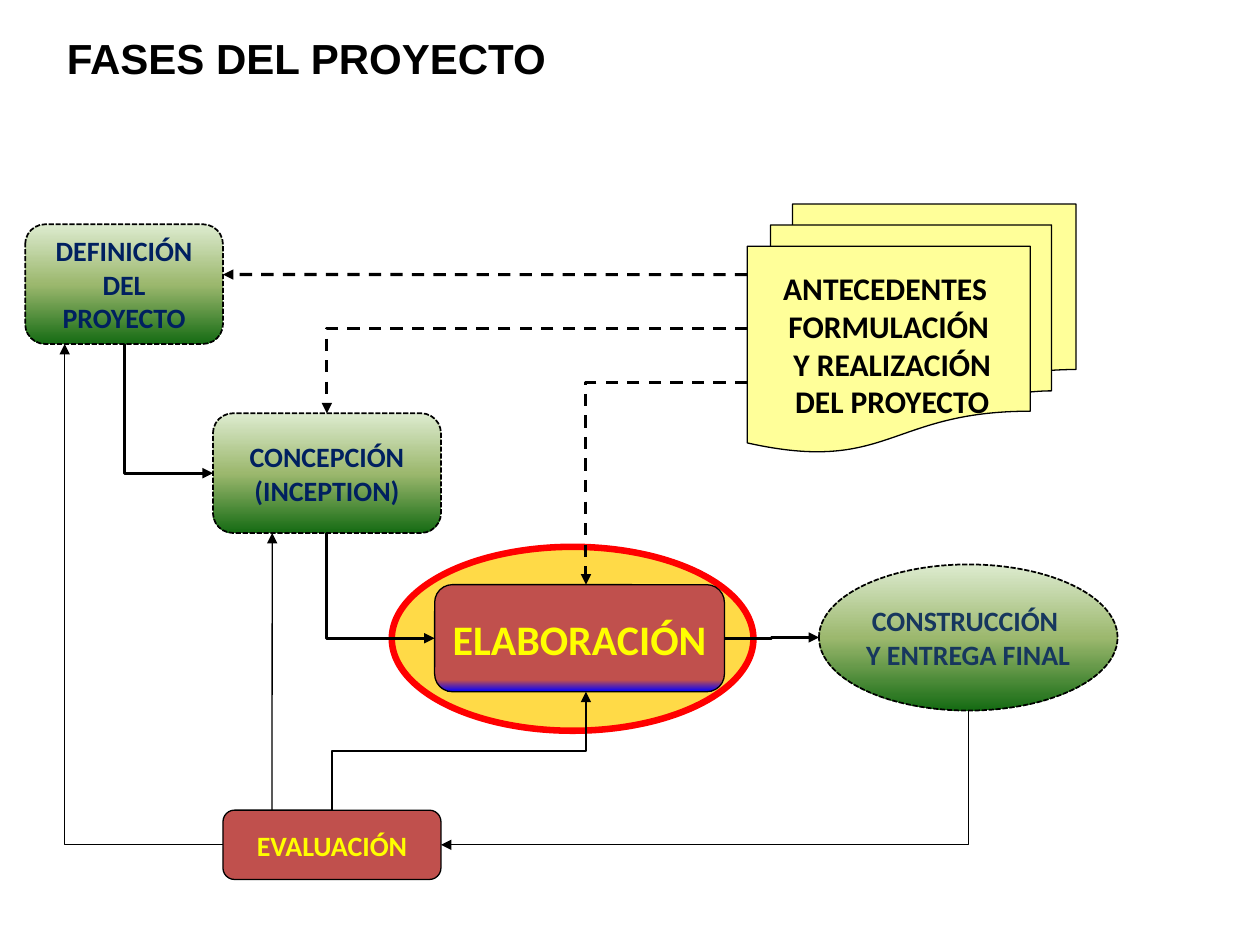
from lxml import etree
from pptx import Presentation
from pptx.dml.color import RGBColor
from pptx.enum.dml import MSO_LINE
from pptx.enum.shapes import MSO_CONNECTOR, MSO_SHAPE
from pptx.enum.text import MSO_ANCHOR, PP_ALIGN
from pptx.oxml.ns import qn
from pptx.util import Inches, Pt

ROUND, OVAL = MSO_SHAPE.ROUNDED_RECTANGLE, MSO_SHAPE.OVAL
DOCS = MSO_SHAPE.FLOWCHART_MULTIDOCUMENT
SYS_DASH, DASH = MSO_LINE.SQUARE_DOT, MSO_LINE.DASH
STRAIGHT, ELBOW = MSO_CONNECTOR.STRAIGHT, MSO_CONNECTOR.ELBOW
LEFT, CENTER = PP_ALIGN.LEFT, PP_ALIGN.CENTER
TOP, MIDDLE = MSO_ANCHOR.TOP, MSO_ANCHOR.MIDDLE

TITLE = "FASES DEL PROYECTO"
GREEN = [(0, "DDEBCF"), (50, "9CB86E"), (100, "156B13")]
RED_BLUE = [(89, "C0504D"), (100, "0000FF")]
PENDING = dict(fill=GREEN, weight=1, dash=SYS_DASH)

# name: (shape, (left, top, width, height), shape format, lines, text format)
BOXES = {
    "halo": (OVAL, (3.11, 4.34, 2.87, 1.46),
             dict(fill="FFCC00", alpha=72, line="FF0000", weight=3.75), [], {}),
    "definicion": (ROUND, (0.2, 1.78, 1.57, 0.95), PENDING,
                   ["DEFINICIÓN DEL PROYECTO"], dict(color="002060")),
    "concepcion": (ROUND, (1.69, 3.28, 1.81, 0.95), PENDING,
                   ["CONCEPCIÓN", "(INCEPTION)"], dict(color="002060")),
    "elaboracion": (ROUND, (3.45, 4.64, 2.3, 0.85), dict(fill=RED_BLUE),
                    ["ELABORACIÓN"], dict(color="FFFF00", size=24)),
    "evaluacion": (ROUND, (1.77, 6.43, 1.73, 0.55), dict(fill="C0504D"),
                   ["EVALUACIÓN"], dict(color="FFFF00")),
    "construccion": (OVAL, (6.5, 4.48, 2.37, 1.16), PENDING,
                     ["CONSTRUCCIÓN ", "Y ENTREGA FINAL"],
                     dict(color="17375E", insets=(0, 0.05))),
    "antecedentes": (DOCS, (5.93, 1.62, 2.61, 1.97), dict(fill="FFFF99"),
                     ["ANTECEDENTES ", "FORMULACIÓN", " Y REALIZACIÓN", " DEL PROYECTO"],
                     dict(size=18, insets=(0, 0), wrap=False)),
}

# (from, share of its box), (to, share of its box), route, first leg, format
FLOW, THIN = dict(weight=1.75), dict(weight=0.75)
INPUT = dict(weight=1.75, dash=DASH)
LINKS = [
    ("definicion", (0.5, 1), "concepcion", (0, 0.5), "bentConnector2", "v", FLOW),
    ("concepcion", (0.5, 1), "elaboracion", (0, 0.5), "bentConnector2", "v", FLOW),
    ("elaboracion", (1, 0.5), "construccion", (0, 0.5), "bentConnector3", "h", FLOW),
    ("construccion", (0.5, 1), "evaluacion", (1, 0.5), "bentConnector2", "v", THIN),
    ("evaluacion", (0.225, 0), "concepcion", (0.26, 1), None, "v", THIN),
    ("evaluacion", (0, 0.5), "definicion", (0.2, 1), "bentConnector2", "h", THIN),
    ("evaluacion", (0.5, 0), "elaboracion", (0.522, 1), "bentConnector3", "v", THIN),
    ("antecedentes", (0, 0.5), "concepcion", (0.5, 0), "bentConnector2", "h", INPUT),
    ("antecedentes", (0, 0.72), "elaboracion", (0.522, 0), "bentConnector2", "h", INPUT),
    ("antecedentes", (0, 0.284), "definicion", (1, 0.42), None, "h", INPUT),
]


def rgb(value):
    """Turn a hex string into a colour."""
    return RGBColor.from_string(value)


def write(shape, lines, size=16, color="000000", font="Calibri", align=CENTER,
          anchor=MIDDLE, insets=(0.1, 0.05), wrap=True):
    """Write bold lines into a shape, one paragraph each."""
    tf = shape.text_frame
    tf.word_wrap, tf.vertical_anchor = wrap, anchor
    tf.margin_left = tf.margin_right = Inches(insets[0])
    tf.margin_top = tf.margin_bottom = Inches(insets[1])
    for i, line in enumerate(lines):
        p = tf.add_paragraph() if i else tf.paragraphs[0]
        p.alignment = align
        r = p.add_run()
        r.text = line
        r.font.name, r.font.size, r.font.bold = font, Pt(size), True
        r.font.color.rgb = rgb(color)


def set_line(line, color="000000", weight=0.75, dash=None):
    """Set colour, width and dash of a line."""
    line.color.rgb = rgb(color)
    line.width = Pt(weight)
    if dash:
        line.dash_style = dash


def set_fill(shape, fill, alpha=None):
    """Fill with one colour, or with a list of gradient stops from top to bottom."""
    if isinstance(fill, str):
        shape.fill.solid()
        shape.fill.fore_color.rgb = rgb(fill)
        if alpha:
            color = shape.element.spPr.find(qn("a:solidFill"))[0]
            etree.SubElement(color, qn("a:alpha"), val=str(alpha * 1000))
        return
    shape.fill.gradient()
    shape.fill.gradient_angle = 270
    stops = shape.element.spPr.find(".//" + qn("a:gsLst"))
    stops.clear()
    for pos, color in fill:
        stop = etree.SubElement(stops, qn("a:gs"), pos=str(pos * 1000))
        etree.SubElement(stop, qn("a:srgbClr"), val=color)


def add_box(s, kind, place, fill, alpha=None, line="000000", weight=0.75, dash=None):
    """Add a filled, outlined shape."""
    sp = s.shapes.add_shape(kind, *map(Inches, place))
    sp.shadow.inherit = False
    set_fill(sp, fill, alpha)
    set_line(sp.line, line, weight, dash)
    return sp


def point(name, share):
    """Find a point of a box from shares of its width and height."""
    left, top, width, height = BOXES[name][1]
    return left + share[0] * width, top + share[1] * height


def add_link(s, start, end, route, first, weight, dash=None):
    """Add an arrow; an elbow leaves its start along the first leg (h or v)."""
    (x1, y1), (x2, y2) = start, end
    c = s.shapes.add_connector(ELBOW if route else STRAIGHT,
                               *map(Inches, (x1, y1, x2, y2)))
    pr = c.element.spPr
    if route:
        pr.find(qn("a:prstGeom")).set("prst", route)
    if route and first == "v":
        dx, dy = x2 - x1, y2 - y1
        w, h = abs(dy), abs(dx)
        c.left, c.top = Inches((x1 + x2 - w) / 2), Inches((y1 + y2 - h) / 2)
        c.width, c.height = Inches(w), Inches(h)
        xfrm = pr.find(qn("a:xfrm"))
        xfrm.set("rot", str(90 * 60000))
        xfrm.set("flipH", str(int(dy < 0)))
        xfrm.set("flipV", str(int(dx > 0)))
    set_line(c.line, weight=weight, dash=dash)
    etree.SubElement(pr.find(qn("a:ln")), qn("a:tailEnd"), type="triangle")
    etree.SubElement(pr, qn("a:effectLst"))


prs = Presentation()
prs.slide_width, prs.slide_height = Inches(10), Inches(7.5)
s = prs.slides.add_slide(prs.slide_layouts[5])

title = s.shapes.title
title.left, title.top, title.width, title.height = map(Inches, (0.43, 0.21, 4.56, 0.5))
write(title, [TITLE], size=24, font="Arial", align=LEFT, anchor=TOP)

for kind, place, look, lines, text_format in BOXES.values():
    write(add_box(s, kind, place, **look), lines, **text_format)

for source, out, target, into, route, first, look in LINKS:
    add_link(s, point(source, out), point(target, into), route, first, **look)

prs.save("out.pptx")
